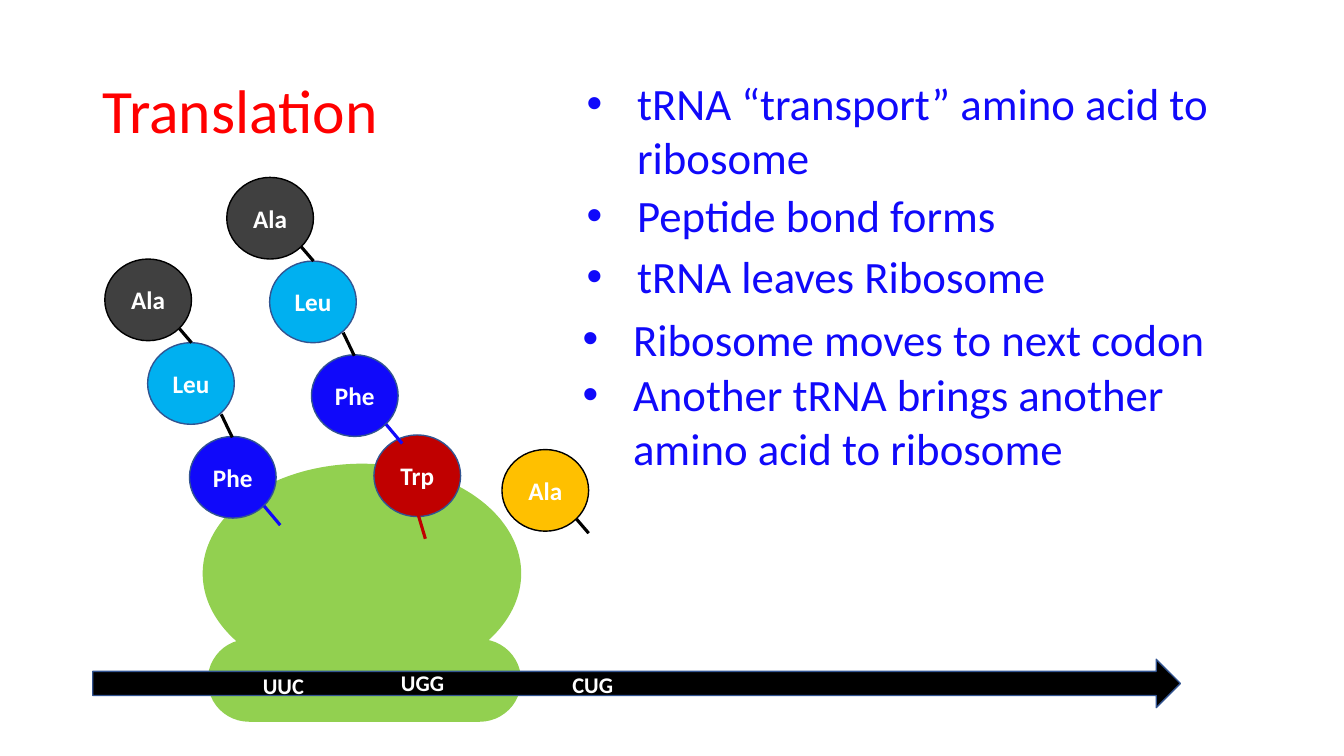
from lxml import etree
from pptx import Presentation
from pptx import util as u
from pptx.dml import color
from pptx.enum import shapes, text
from pptx.oxml import ns

COLUMNS, ROWS = 133.33, 75
CELL = u.Inches(0.1)
FONT = "Calibri"
BLUE, RED, BLACK, WHITE = "1009FA", "C00000", "000000", "FFFFFF"
GREEN, OUTLINE = "92D050", "325491"

BEAD_SIZE = (8.6, 8.1)
RESIDUES = {
    "Phe": (BLUE, OUTLINE, BLUE, (7.4, 6.9), (9, 8.8)),
    "Leu": ("00B0F0", OUTLINE, BLACK, (7.3, 7.1), (8.4, 9.4)),
    "Ala": ("404040", BLACK, BLACK, (7.4, 6.9), (8.6, 8.3)),
    "Trp": (RED, OUTLINE, RED, (4.3, 7.6), (5.1, 10.3)),
}
CHAIN = [("Phe", 0, 0), ("Leu", -4.15, -9.3), ("Ala", -8.4, -17.6)]
CODONS = [("UUC", 15.9, 0.8, 6.2), ("UGG", 29.6, 0.5, 6.4), ("CUG", 46.6, 0.7, 6.1)]
STEPS = [
    ("tRNA “transport” amino acid to ribosome", 5.4, 0),
    ("Peptide bond forms", 5.4, 3.6),
    ("tRNA leaves Ribosome", 5.4, 5),
    ("Ribosome moves to next codon", 5, 6.2),
    ("Another tRNA brings another amino acid to ribosome", 5, 1),
]


def cells(*counts):
    return [round(count * CELL) for count in counts]


def paint(target, hex_color):
    target.rgb = color.RGBColor.from_string(hex_color)


def add_text(paragraph, words, size, hex_color, bold=False):
    run = paragraph.add_run()
    run.text = words
    run.font.name = FONT
    run.font.size = u.Pt(size)
    run.font.bold = bold
    paint(run.font.color, hex_color)


def add_solid(slide, kind, box, fill, outline=None):
    shape = slide.shapes.add_shape(kind, *cells(*box))
    shape.shadow.inherit = False
    shape.fill.solid()
    paint(shape.fill.fore_color, fill)
    if outline:
        paint(shape.line.color, outline)
        shape.line.width = u.Pt(1)
    else:
        shape.line.fill.background()
    return shape


def add_bond(slide, start, end, hex_color):
    bond = slide.shapes.add_connector(shapes.MSO_CONNECTOR.STRAIGHT, *cells(*start, *end))
    paint(bond.line.color, hex_color)
    bond.line.width = u.Pt(2.25)
    etree.SubElement(bond._element.spPr, ns.qn("a:effectLst"))


def add_residue(slide, name, left, top, fill=None):
    bead_fill, outline, bond_color, start, end = RESIDUES[name]
    bead = add_solid(slide, shapes.MSO_SHAPE.OVAL, (left, top, *BEAD_SIZE),
                     fill or bead_fill, outline)
    frame = bead.text_frame
    frame.margin_left = frame.margin_right = 0
    frame.vertical_anchor = text.MSO_ANCHOR.MIDDLE
    paragraph = frame.paragraphs[0]
    paragraph.alignment = text.PP_ALIGN.CENTER
    add_text(paragraph, name, 18, WHITE, True)
    add_bond(slide, (left + start[0], top + start[1]),
             (left + end[0], top + end[1]), bond_color)


def add_chain(slide, left, top):
    for name, across, down in CHAIN:
        add_residue(slide, name, left + across, top + down)


def add_ribosome(slide, left, top, width, height):
    base = add_solid(slide, shapes.MSO_SHAPE.ROUNDED_RECTANGLE,
                     (left + 0.5, top + height - 8.2, width - 0.5, 8.2), GREEN)
    base.adjustments[0] = 0.5
    dome_height = 21.8
    dome = add_solid(slide, shapes.MSO_SHAPE.CHORD,
                     (left + (width - dome_height) / 2, top - (width - dome_height) / 2,
                      dome_height, width), GREEN)
    dome.rotation = 90
    dome.adjustments[0] = 27
    dome.adjustments[1] = 182.55


def add_strand(slide, left, top, width, height):
    add_solid(slide, shapes.MSO_SHAPE.RIGHT_ARROW, (left, top, width, height), BLACK, OUTLINE)
    for codon, across, down, label_width in CODONS:
        label = slide.shapes.add_textbox(*cells(left + across, top + down, label_width, 3.7))
        label.text_frame.word_wrap = False
        add_text(label.text_frame.paragraphs[0], codon, 16, WHITE, True)


def place(shape, box):
    shape.left, shape.top, shape.width, shape.height = cells(*box)
    shape.text_frame.word_wrap = True
    shape.text_frame.auto_size = text.MSO_AUTO_SIZE.NONE


def fill_title(title, *box):
    place(title, box)
    title.text_frame.vertical_anchor = text.MSO_ANCHOR.MIDDLE
    paragraph = title.text_frame.paragraphs[0]
    paragraph.alignment = text.PP_ALIGN.LEFT
    paragraph.line_spacing = 0.9
    add_text(paragraph, "Translation", 44, "FF0000")


def fill_steps(body, *box):
    place(body, box)
    frame = body.text_frame
    for index, (words, indent, gap) in enumerate(STEPS):
        paragraph = frame.add_paragraph() if index else frame.paragraphs[0]
        properties = paragraph._p.get_or_add_pPr()
        properties.set("marL", str(cells(indent)[0]))
        properties.set("indent", str(cells(-5)[0]))
        etree.SubElement(properties, ns.qn("a:buFont")).set("typeface", "Arial")
        etree.SubElement(properties, ns.qn("a:buChar")).set("char", "•")
        paragraph.line_spacing = 1.0
        paragraph.space_before = u.Pt(gap)
        add_text(paragraph, words, 32, BLUE)


def main():
    presentation = Presentation()
    presentation.slide_width, presentation.slide_height = cells(COLUMNS, ROWS)
    slide = presentation.slides.add_slide(presentation.slide_layouts[1])
    fill_title(slide.shapes.title, 9.2, 4, 115, 14.5)
    fill_steps(slide.placeholders[1], 56.8, 7, 67.3, 41)
    add_ribosome(slide, 20.1, 46, 31.6, 25.6)
    add_strand(slide, 9.2, 65.4, 107.9, 4.8)
    add_residue(slide, "Trp", 37.1, 43.15)
    add_chain(slide, 18.8, 43.3)
    add_chain(slide, 30.9, 35.2)
    add_residue(slide, "Ala", 49.8, 44.6, "FFC000")
    presentation.save("out.pptx")


if __name__ == "__main__":
    main()
